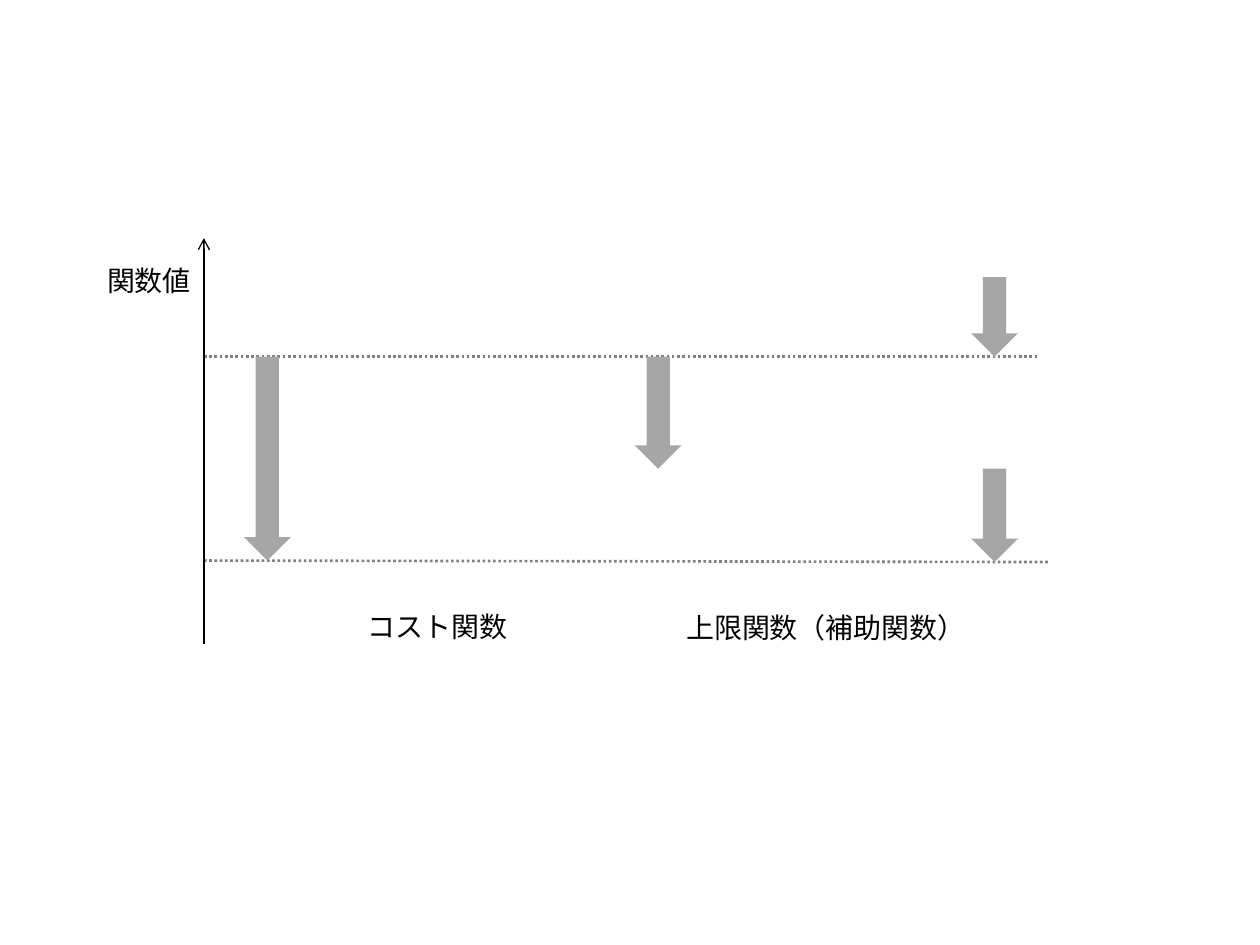
from pptx import Presentation
from pptx.dml.color import RGBColor
from pptx.enum.dml import MSO_LINE
from pptx.enum.shapes import MSO_CONNECTOR, MSO_SHAPE
from pptx.enum.text import MSO_AUTO_SIZE, PP_ALIGN
from pptx.oxml.ns import qn
from pptx.util import Cm, Pt
from lxml import etree

STRAIGHT = MSO_CONNECTOR.STRAIGHT
DOWN_ARROW = MSO_SHAPE.DOWN_ARROW
DOTTED = MSO_LINE.ROUND_DOT
LEFT, CENTER = PP_ALIGN.LEFT, PP_ALIGN.CENTER
FIT_SHAPE = MSO_AUTO_SIZE.SHAPE_TO_FIT_TEXT

COLORS = {"ink": "000000", "level": "808080", "drop": "A6A6A6"}
FONT = "Noto Sans CJK JP"
DROP_WIDTH = 0.94
LABEL_HEIGHT = 0.94


def color(name):
    return RGBColor.from_string(COLORS[name])


def add_line(slide, start, end, color_name, width):
    line = slide.shapes.add_connector(STRAIGHT, *map(Cm, start + end))
    line.line.color.rgb = color(color_name)
    line.line.width = Pt(width)
    etree.SubElement(line._element.spPr, qn("a:effectLst"))
    return line


def add_drop(slide, center, top, bottom):
    drop = slide.shapes.add_shape(DOWN_ARROW, Cm(center - DROP_WIDTH / 2), Cm(top),
                                  Cm(DROP_WIDTH), Cm(bottom - top))
    drop.shadow.inherit = False
    drop.fill.solid()
    drop.fill.fore_color.rgb = color("drop")
    drop.line.fill.background()


def add_label(slide, left, top, width, text, align):
    frame = slide.shapes.add_textbox(Cm(left), Cm(top), Cm(width), Cm(LABEL_HEIGHT)).text_frame
    frame.word_wrap = False
    frame.auto_size = FIT_SHAPE
    paragraph = frame.paragraphs[0]
    paragraph.text = text
    paragraph.alignment = align
    paragraph.font.size = Pt(16)
    paragraph.font.name = FONT
    paragraph.font.color.rgb = color("ink")
    # Japanese glyphs take the East Asian typeface
    defaults = paragraph._p.pPr.find(qn("a:defRPr"))
    etree.SubElement(defaults, qn("a:ea")).set("typeface", FONT)


def add_function_diagram(slide, left, top, width, height):
    raised, before, between, after = (top + y for y in (0.79, 2.39, 4.65, 6.5))

    # Dotted levels and the value axis
    for start_y, end_y, end_x in ((after, after + 0.03, left + width),
                                  (before, before, left + width - 0.2)):
        level = add_line(slide, (left, start_y), (end_x, end_y), "level", 1.5)
        level.line.dash_style = DOTTED
    axis = add_line(slide, (left, top + height), (left, top), "ink", 0.75)
    etree.SubElement(axis.line._get_or_add_ln(), qn("a:tailEnd")).set("type", "arrow")

    # Decreases of the cost function and of its upper bound
    for center, start, end in ((1.28, before, after), (15.94, raised, before),
                               (15.94, between, after + 0.03), (9.16, before, between)):
        add_drop(slide, left + center, start, end)

    # Labels
    for x, y, label_width, text, align in (
            (-2.2, 0.38, 2.24, "関数値", LEFT),
            (3.03, 7.37, 3.35, "コスト関数", CENTER),
            (9.43, 7.39, 6.22, "上限関数（補助関数）", CENTER)):
        add_label(slide, left + x, top + y, label_width, text, align)


def main():
    presentation = Presentation()
    presentation.slide_width, presentation.slide_height = Cm(25.4), Cm(19.05)
    slide = presentation.slides.add_slide(presentation.slide_layouts[6])
    add_function_diagram(slide, left=4.11, top=4.8, width=17.02, height=8.18)
    presentation.save("out.pptx")


if __name__ == "__main__":
    main()
